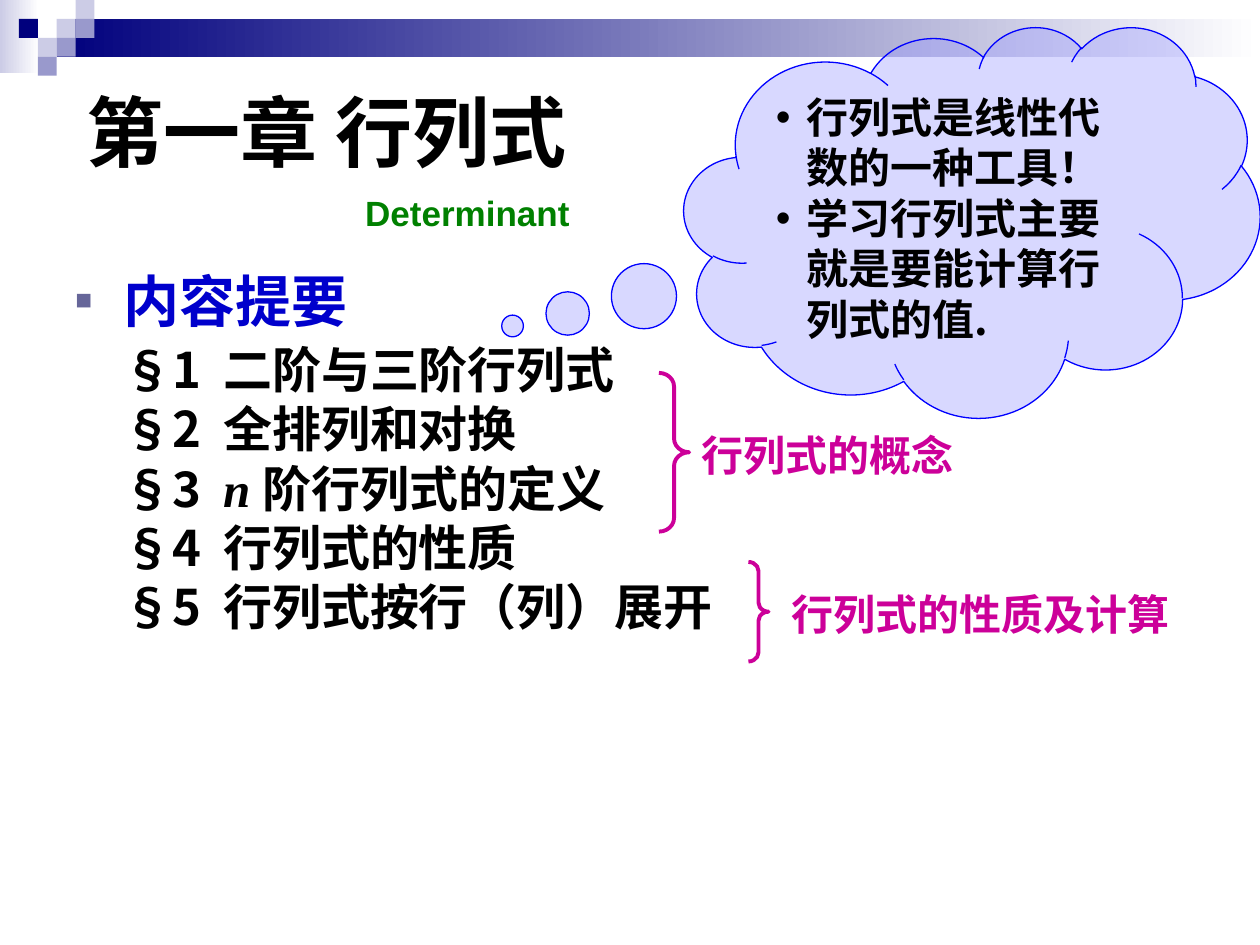
from lxml import etree
from pptx import Presentation
from pptx.dml.color import RGBColor
from pptx.enum.shapes import MSO_SHAPE
from pptx.enum.text import MSO_ANCHOR
from pptx.oxml.ns import qn
from pptx.util import Inches, Pt

RECT = MSO_SHAPE.RECTANGLE
BRACE = MSO_SHAPE.RIGHT_BRACE
CLOUD = MSO_SHAPE.CLOUD_CALLOUT
TOP, MIDDLE = MSO_ANCHOR.TOP, MSO_ANCHOR.MIDDLE

HAN, SANS, SERIF = "Noto Sans CJK SC", "Arial", "Times New Roman"
COLORS = {
    "black": "000000", "white": "FFFFFF", "navy": "00007D",
    "pale": "CCCCE6", "lilac": "9999CC", "slate": "666699",
    "blue": "0000CC", "pink": "CC0099", "green": "008000",
    "cloud": "9999FF", "edge": "0000FF",
}
TILE = 0.15
TILES = [(3, 1, "pale"), (4, 0, "pale"), (4, 1, "lilac"), (2, 2, "pale"),
         (1, 1, "navy"), (3, 2, "lilac"), (2, 3, "lilac")]
TOPICS = [
    [("§1  二阶与三阶行列式", HAN)],
    [("§2  全排列和对换", HAN)],
    [("§3  ", HAN), ("n ", SERIF), ("阶行列式的定义", HAN)],
    [("§4  行列式的性质", HAN)],
    [("§5  行列式按行（列）展开", HAN)],
]
GROUPS = [
    ((5.23, 2.96, 0.24, 1.26), (5.47, 3.36, 2.44, 0.5), "行列式的概念"),
    ((5.94, 4.46, 0.16, 0.79), (6.18, 4.62, 3.31, 0.55), "行列式的性质及计算"),
]


def rgb(name):
    return RGBColor.from_string(COLORS[name])


def add_shape(slide, kind, box):
    shape = slide.shapes.add_shape(kind, *map(Inches, box))
    shape.shadow.inherit = False
    return shape


def add_block(slide, box, color, fade=None):
    """Add a borderless rectangle, plain or fading to the right."""
    shape = add_shape(slide, RECT, box)
    shape.line.fill.background()
    if fade:
        shape.fill.gradient()
        shape.fill.gradient_angle = 0
        for stop, name in zip(shape.fill.gradient_stops, (color, fade)):
            stop.color.rgb = rgb(name)
    else:
        shape.fill.solid()
        shape.fill.fore_color.rgb = rgb(color)


def add_text(slide, box, wrap=True):
    frame = slide.shapes.add_textbox(*map(Inches, box)).text_frame
    frame.word_wrap = wrap
    return frame


def add_run(par, text, size, color, face=HAN):
    run = par.add_run()
    run.text = text
    font = run.font
    font.name, font.size, font.bold = face, Pt(size), True
    font.italic = face == SERIF
    font.color.rgb = rgb(color)
    east = etree.SubElement(font._element, qn("a:ea"))
    east.set("typeface", HAN)


def indent(par, left, mark=None, color="black", scale=100):
    """Indent a paragraph and hang its bullet, if it has one."""
    props = par._p.get_or_add_pPr()
    props.set("marL", str(Inches(left)))
    props.set("indent", str(-Inches(left) if mark else 0))
    if mark:
        tint = etree.SubElement(props, qn("a:buClr"))
        etree.SubElement(tint, qn("a:srgbClr")).set("val", COLORS[color])
        etree.SubElement(props, qn("a:buSzPct")).set("val", str(scale * 1000))
        etree.SubElement(props, qn("a:buFont")).set("typeface", SANS)
        etree.SubElement(props, qn("a:buChar")).set("char", mark)


def add_band(slide):
    add_block(slide, (0, 0, 0.31, 0.58), "pale", "white")
    add_block(slide, (0.45, 0.15, 9.55, 0.3), "navy", "white")
    for col, row, color in TILES:
        add_block(slide, (col * TILE, row * TILE, TILE, TILE), color)


def add_topics(slide):
    frame = add_text(slide, (0.5, 2.17, 9, 3.95))
    head = frame.paragraphs[0]
    indent(head, 0.38, "■", "slate", 50)
    head.line_spacing = 0.8
    head.space_after = Pt(3)
    add_run(head, "内容提要", 32, "blue")
    for topic in TOPICS:
        par = frame.add_paragraph()
        indent(par, 0.38)
        par.line_spacing = 0.8
        par.space_before = Pt(7)
        for text, face in topic:
            add_run(par, text, 28, "black", face)


def add_group(slide, span, box, text):
    """Add a brace beside some topics, with its label."""
    brace = add_shape(slide, BRACE, span)
    brace.adjustments[0] = 0.45
    brace.fill.background()
    brace.line.color.rgb = rgb("pink")
    brace.line.width = Pt(2.25)
    label = add_text(slide, box, wrap=False)
    add_run(label.paragraphs[0], text, 24, "pink")


def add_cloud(slide):
    cloud = add_shape(slide, CLOUD, (5.43, 0.21, 4.57, 3.1))
    cloud.adjustments[0], cloud.adjustments[1] = -0.798, 0.267
    cloud.fill.solid()
    cloud.fill.fore_color.rgb = rgb("cloud")
    tint = cloud._element.spPr.find(qn("a:solidFill"))[0]
    etree.SubElement(tint, qn("a:alpha")).set("val", "38000")
    cloud.line.color.rgb = rgb("edge")
    cloud.line.width = Pt(0.75)
    frame = cloud.text_frame
    frame.word_wrap = True
    frame.vertical_anchor = TOP
    first, second = frame.paragraphs[0], frame.add_paragraph()
    for par in (first, second):
        par._p.get_or_add_pPr().set("algn", "l")
        indent(par, 0.24, "•")
    add_run(first, "行列式是线性代数的一种工具！", 24, "black", SANS)
    add_run(second, "学习行列式主要就是要能计算行列式的值", 24, "black", SANS)
    add_run(second, ".", 24, "black")


def main():
    deck = Presentation()
    deck.slide_width, deck.slide_height = Inches(10), Inches(7.5)
    slide = deck.slides.add_slide(deck.slide_layouts[6])
    add_band(slide)
    title = add_text(slide, (0.59, 0.29, 9, 1.5))
    title.vertical_anchor = MIDDLE
    add_run(title.paragraphs[0], "第一章 行列式", 44, "black")
    add_topics(slide)
    for group in GROUPS:
        add_group(slide, *group)
    add_cloud(slide)
    term = add_text(slide, (2.8, 1.47, 2, 0.44), wrap=False)
    add_run(term.paragraphs[0], "Determinant", 20, "green", SANS)
    deck.save("out.pptx")


if __name__ == "__main__":
    main()
